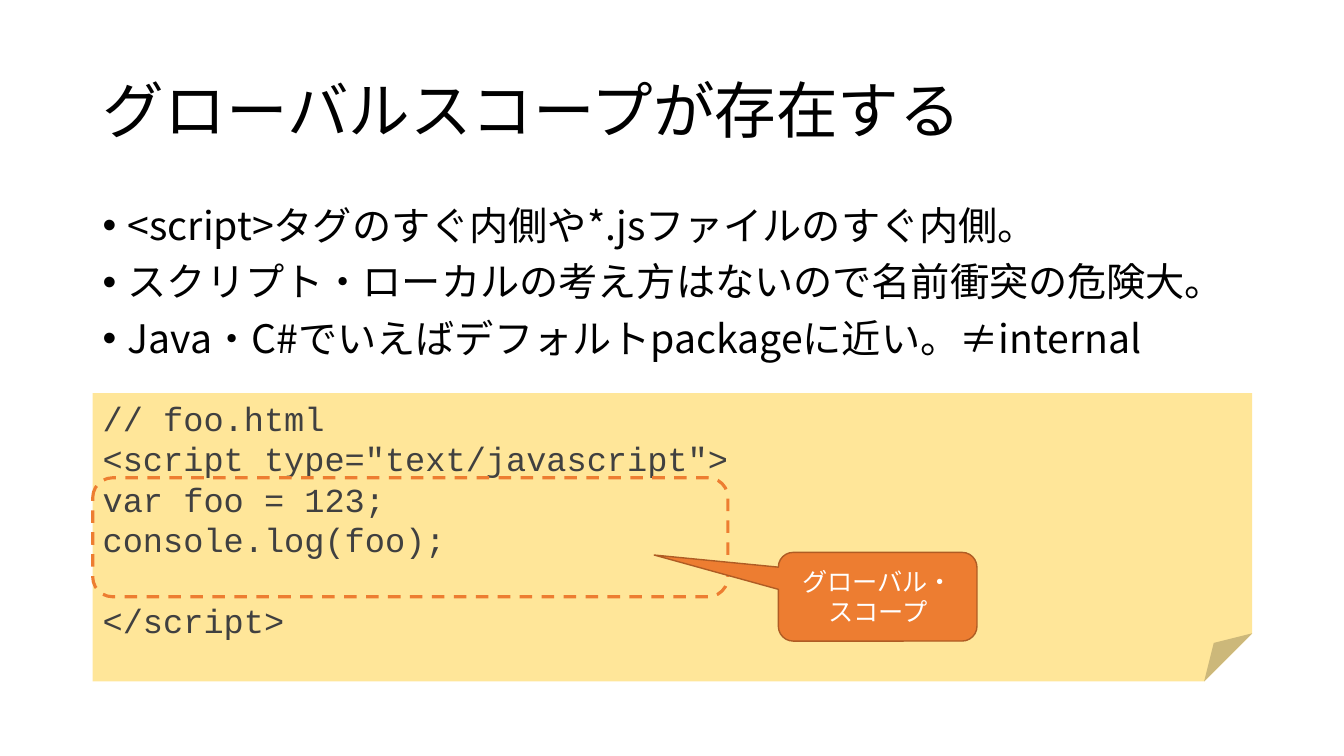
import pptx
import pptx.util
import pptx.dml.color
import pptx.enum.dml
import pptx.enum.shapes
import pptx.enum.text
import lxml.etree

Inches = pptx.util.Inches
Pt = pptx.util.Pt
Kind = pptx.enum.shapes.MSO_SHAPE
Align = pptx.enum.text.PP_ALIGN
Anchor = pptx.enum.text.MSO_ANCHOR

SANS = "Noto Sans CJK JP"
MONO = "Courier New"
TITLE = ["グローバルスコープが存在する"]
POINTS = [
    "<script>タグのすぐ内側や*.jsファイルのすぐ内側。",
    "スクリプト・ローカルの考え方はないので名前衝突の危険大。",
    "Java・C#でいえばデフォルトpackageに近い。≠internal",
]
CODE = [
    "// foo.html",
    '<script type="text/javascript">',
    "var foo = 123;",
    "console.log(foo);",
    "</script>",
]
LABEL = ["グローバル・スコープ"]
LEFT, WIDE = 0.92, 11.5
ORANGE = "ED7D31"


def color(code):
    return pptx.dml.color.RGBColor.from_string(code)


def tag(node, name, **attrs):
    return lxml.etree.SubElement(node, pptx.oxml.ns.qn(name), attrs)


def write(shape, lines, size, face, ink, anchor=Anchor.TOP,
          align=Align.LEFT, space=1.0, before=0):
    frame = shape.text_frame
    frame.word_wrap = True
    frame.auto_size = pptx.enum.text.MSO_AUTO_SIZE.NONE
    frame.vertical_anchor = anchor
    for i, line in enumerate(lines):
        para = frame.add_paragraph() if i else frame.paragraphs[0]
        para.alignment = align
        para.line_spacing = space
        para.space_before = Pt(before)
        run = para.add_run()
        run.text = line
        run.font.size = Pt(size)
        run.font.name = face
        run.font.color.rgb = color(ink)
        tag(run.font._element, "a:ea", typeface=face)
    return frame.paragraphs


def draw(slide, kind, box, fill=None, line=None, width=1):
    shape = slide.shapes.add_shape(kind, *map(Inches, box))
    shape.shadow.inherit = False
    if fill:
        shape.fill.solid()
        shape.fill.fore_color.rgb = color(fill)
    else:
        shape.fill.background()
    if line:
        shape.line.color.rgb = color(line)
        shape.line.width = Pt(width)
    else:
        shape.line.fill.background()
    return shape


def main():
    deck = pptx.Presentation()
    deck.slide_width, deck.slide_height = Inches(13.33), Inches(7.5)
    slide = deck.slides.add_slide(deck.slide_layouts[5])

    title = slide.shapes.title
    title.left, title.top = Inches(LEFT), Inches(0.4)
    title.width, title.height = Inches(WIDE), Inches(1.45)
    write(title, TITLE, 44, SANS, "000000", Anchor.MIDDLE, space=0.9)

    body = slide.shapes.add_textbox(*map(Inches, (LEFT, 2, WIDE, 1.9)))
    for para in write(body, POINTS, 28, SANS, "000000", space=0.9, before=10):
        props = para._p.get_or_add_pPr()
        props.set("marL", str(Inches(0.25)))
        props.set("indent", str(Inches(-0.25)))
        tag(props, "a:buFont", typeface="Arial")
        tag(props, "a:buChar", char="•")

    note = draw(slide, Kind.FOLDED_CORNER, (LEFT, 3.9, WIDE, 2.86), "FFE699")
    rows = write(note, CODE, 24, MONO, "404040")
    rows[-1].space_before = Pt(29)

    scope = draw(slide, Kind.ROUNDED_RECTANGLE, (LEFT, 4.74, 6.3, 1.18),
                 line=ORANGE, width=2.25)
    scope.line.dash_style = pptx.enum.dml.MSO_LINE.DASH

    label = draw(slide, Kind.ROUNDED_RECTANGULAR_CALLOUT,
                 (7.72, 5.48, 1.97, 0.88), ORANGE, "AF5C24")
    for i, value in enumerate((-1.125, -0.47, 0.167)):
        label.adjustments[i] = value
    write(label, LABEL, 18, SANS, "FFFFFF", Anchor.MIDDLE, Align.CENTER)

    deck.save("out.pptx")


if __name__ == "__main__":
    main()
